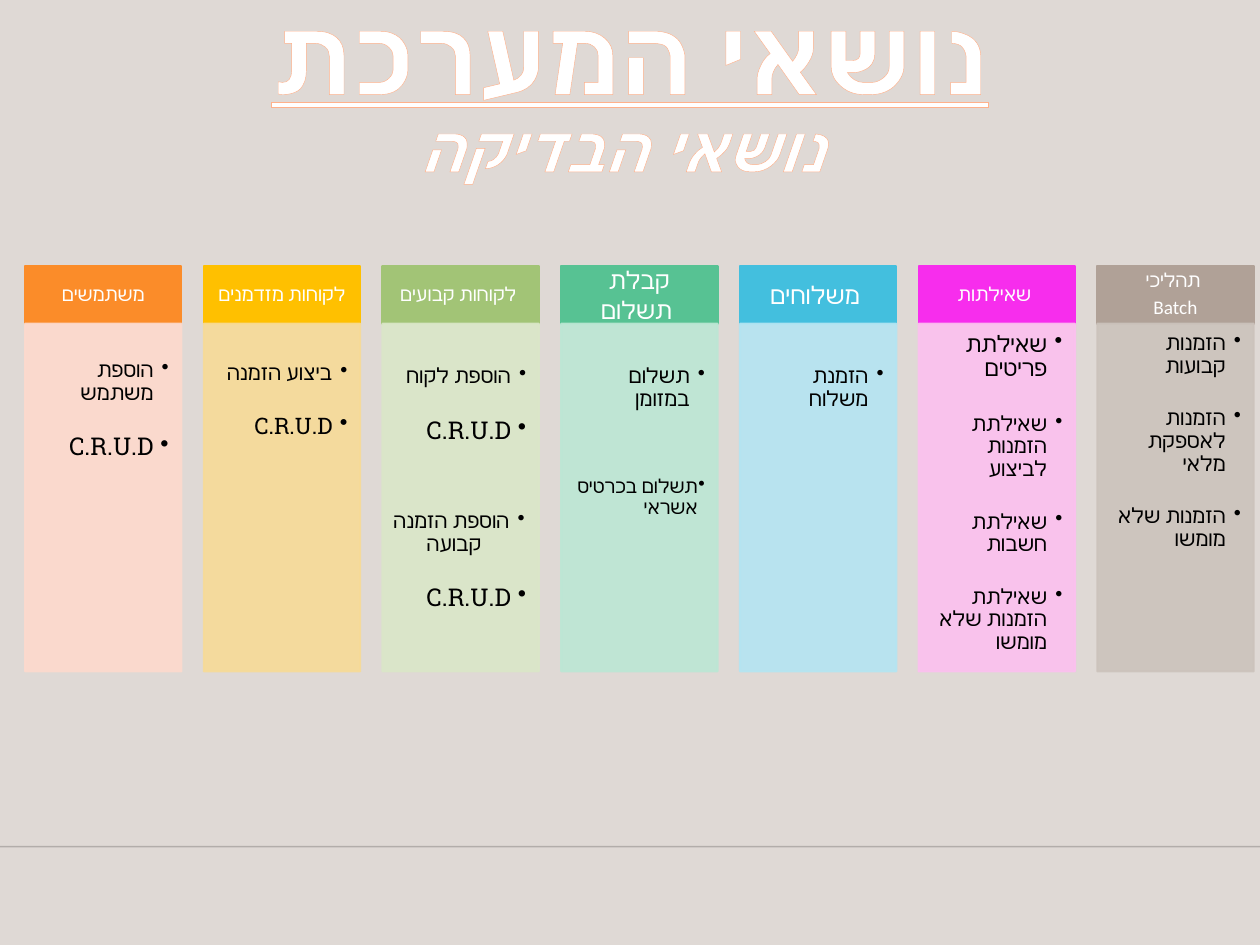
import pptx
import pptx.util
import pptx.dml.color
import pptx.enum.shapes
import pptx.enum.text
import pptx.oxml
import pptx.oxml.ns
from lxml import etree

Pt = pptx.util.Pt
qn = pptx.oxml.ns.qn
ALIGN = pptx.enum.text.PP_ALIGN
ANCHOR = pptx.enum.text.MSO_ANCHOR

FONT = "Roboto Slab"
LEFT, STEP, WIDTH = 14.4, 102.12, 89.3
HEADER_TOP, HEADER_HEIGHT = 151.9, 33.1
BODY_TOP, BODY_HEIGHT = HEADER_TOP + HEADER_HEIGHT, 198.7

# Each topic: header lines, header size, header colour, body colour, top inset, items.
# Each item: text, size, space before, then optional paragraph settings.
TOPICS = [
    (["משתמשים"], 11, "FB8C29", "FDDACD", 20.5,
     [("הוספת משתמש ", 12, 0), ("C.R.U.D", 14, 17)]),
    (["לקוחות מזדמנים"], 11, "FFC000", "F7DB97", 22,
     [("ביצוע הזמנה ", 12, 0), ("C.R.U.D", 13, 17)]),
    (["לקוחות קבועים "], 11, "A2C476", "DAE7C8", 24,
     [("הוספת לקוח", 12, 0), ("C.R.U.D", 14, 17),
      ("הוספת הזמנה קבועה ", 12, 37.5, {"align": ALIGN.CENTER}),
      ("C.R.U.D", 14, 17)]),
    (["קבלת תשלום "], 14, "57C293", "BCE7D4", 24,
     [("תשלום במזומן", 12, 0),
      ("תשלום בכרטיס אשראי", 11, 37.5, {"indent": 4.3})]),
    (["משלוחים "], 14, "43BFDE", "B4E5F2", 24,
     [("הזמנת משלוח ", 12, 0)]),
    (["שאילתות "], 11, "F72DED", "FCC0EF", 5,
     [("שאילתת פריטים", 13, 0), ("שאילתת הזמנות לביצוע", 12, 18),
      ("שאילתת חשבות", 12, 17), ("שאילתת הזמנות שלא מומשו ", 12, 17)]),
    (["תהליכי ", "Batch"], 11, "B0A197", "CCC3BC", 5,
     [("הזמנות קבועות ", 12, 0), ("הזמנות לאספקת מלאי", 12, 17),
      ("הזמנות שלא מומשו ", 12, 17)]),
]


def rgb(color):
    return pptx.dml.color.RGBColor.from_string(color)


def set_alpha(element, percent):
    """Give every solid colour inside the element this opacity."""
    for clr in element.iter(qn("a:srgbClr")):
        etree.SubElement(clr, qn("a:alpha")).set("val", str(percent * 1000))


def format_run(r, size, color, font=FONT):
    r.font.size = Pt(size)
    r.font.name = font
    r.font.color.rgb = rgb(color)
    for tag in ("a:ea", "a:cs"):
        etree.SubElement(r.font._element, qn(tag)).set("typeface", font)


def set_insets(tf, left, top, right, bottom):
    tf.margin_left, tf.margin_top = Pt(left), Pt(top)
    tf.margin_right, tf.margin_bottom = Pt(right), Pt(bottom)


def add_panel(slide, left, top, height, color):
    sp = slide.shapes.add_shape(pptx.enum.shapes.MSO_SHAPE.RECTANGLE,
                                Pt(left), Pt(top), Pt(WIDTH), Pt(height))
    sp.shadow.inherit = False
    sp.fill.solid()
    sp.fill.fore_color.rgb = rgb(color)
    sp.line.color.rgb = rgb(color)
    sp.line.width = Pt(1.25)
    sp.text_frame.word_wrap = True
    return sp


def add_header(slide, left, lines, size, color):
    tf = add_panel(slide, left, HEADER_TOP, HEADER_HEIGHT, color).text_frame
    tf.vertical_anchor = ANCHOR.MIDDLE
    set_insets(tf, 6, 3.6, 6, 3.6)
    tf.text = "\n".join(lines)
    for i, p in enumerate(tf.paragraphs):
        p.alignment = ALIGN.CENTER
        p.line_spacing = 0.9 if size == 11 else 1.0
        p.space_before = Pt(4 if i else 0)
        font = "Calibri" if p.text.isascii() else FONT
        format_run(p.runs[0], size, "FFFFFF", font)


def format_item(p, size, before, align=ALIGN.RIGHT, indent=8.9):
    """Format a right-to-left bullet paragraph."""
    p.alignment = align
    p.line_spacing = 0.9
    p.space_before = Pt(before)
    pPr = p._p.get_or_add_pPr()
    pPr.set("rtl", "1")
    pPr.set("marL", str(Pt(indent)))
    pPr.set("indent", str(-Pt(indent)))
    etree.SubElement(pPr, qn("a:buChar")).set("char", "•")
    format_run(p.runs[0], size, "000000")


def add_body(slide, left, color, top_inset, items):
    sp = add_panel(slide, left, BODY_TOP, BODY_HEIGHT, color)
    set_alpha(sp._element.spPr, 90)
    tf = sp.text_frame
    tf.vertical_anchor = ANCHOR.TOP
    set_insets(tf, 5.3, top_inset, 7, 7)
    tf.text = "\n".join(item[0] for item in items)
    for p, (_, size, before, *options) in zip(tf.paragraphs, items):
        format_item(p, size, before, **(options[0] if options else {}))


def add_outline(r, color, width):
    ln = etree.Element(qn("a:ln"), w=str(Pt(width)))
    fill = etree.SubElement(ln, qn("a:solidFill"))
    etree.SubElement(fill, qn("a:srgbClr")).set("val", color)
    r.font._element.insert(0, ln)


def format_title(title):
    title.left, title.top = Pt(113.8), Pt(43.2)
    title.width, title.height = Pt(492.5), Pt(82.8)
    tf = title.text_frame
    tf.word_wrap = True
    tf.auto_size = pptx.enum.text.MSO_AUTO_SIZE.NONE
    tf.vertical_anchor = ANCHOR.BOTTOM
    set_insets(tf, 0, 0, 0, 20)
    tf.text = "נושאי המערכת\vנושאי הבדיקה "
    p = tf.paragraphs[0]
    p.alignment = ALIGN.CENTER
    p.line_spacing = 0.9
    for r, size in zip(p.runs, (60.3, 36)):
        format_run(r, size, "FFFFFF")
        r.font.bold = True
        add_outline(r, "FFB18B", 2.48)
    heading, subheading = p.runs
    heading.font.underline = True
    subheading.font.italic = True


def add_footer_line(slide):
    line = slide.shapes.add_connector(pptx.enum.shapes.MSO_CONNECTOR.STRAIGHT,
                                      Pt(0), Pt(483.8), Pt(720), Pt(483.8))
    line.line.color.rgb = rgb("000001")
    line.line.width = Pt(1)
    spPr = line._element.spPr
    set_alpha(spPr, 20)
    etree.SubElement(spPr, qn("a:effectLst"))


def main():
    prs = pptx.Presentation()
    prs.slide_width, prs.slide_height = Pt(720), Pt(540)
    slide = prs.slides.add_slide(prs.slide_layouts[5])
    slide.background.fill.solid()
    slide.background.fill.fore_color.rgb = rgb("DFD9D5")
    add_footer_line(slide)
    format_title(slide.shapes.title)
    for i, (lines, size, color, tint, top_inset, items) in enumerate(TOPICS):
        left = LEFT + i * STEP
        add_header(slide, left, lines, size, color)
        add_body(slide, left, tint, top_inset, items)
    prs.save("out.pptx")


if __name__ == "__main__":
    main()
